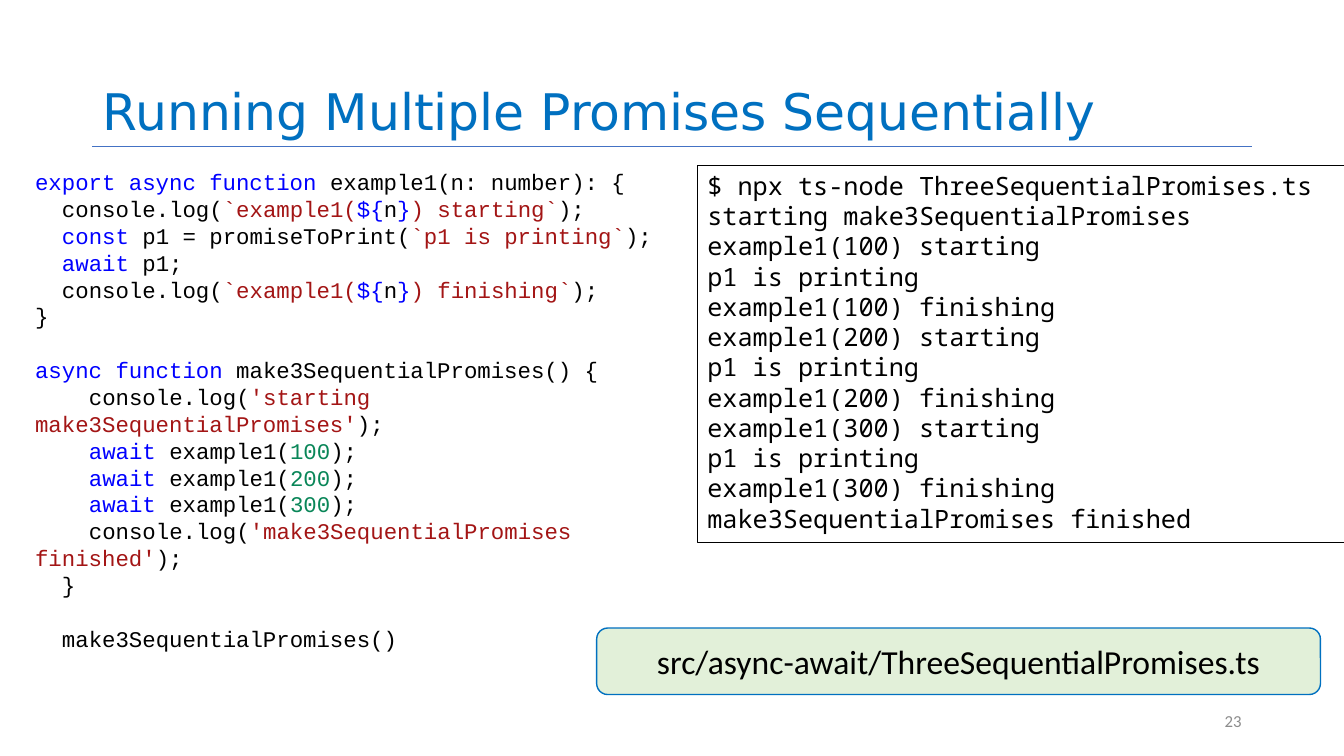
"""Build a slide on running promises one after another."""
import pptx
import pptx.util
import pptx.dml.color
import pptx.enum.shapes
import pptx.enum.text
import pptx.oxml

Pt = pptx.util.Pt
RGB = pptx.dml.color.RGBColor
SHAPE = pptx.enum.shapes.MSO_SHAPE
ALIGN = pptx.enum.text.PP_ALIGN
ANCHOR = pptx.enum.text.MSO_ANCHOR

BLACK = RGB(0x00, 0x00, 0x00)
BLUE = RGB(0x00, 0x70, 0xC0)
RULE = RGB(0x44, 0x72, 0xC4)
GREY = RGB(0x8C, 0x8C, 0x8C)
GREEN = RGB(0xE2, 0xF0, 0xD9)
KEY = RGB(0x00, 0x00, 0xFF)
TEXT = RGB(0xA3, 0x15, 0x15)
NUM = RGB(0x09, 0x86, 0x58)

TITLE = "Running Multiple Promises Sequentially"
LABEL = "src/async-await/ThreeSequentialPromises.ts"
PAGE = "23"
CALLS = (100, 200, 300)


def log(word):
    """Give the code parts of one templated log line."""
    return [("console.log(", BLACK), ("`example1(", TEXT), ("${", KEY),
            ("n", BLACK), ("}", KEY), (f") {word}`", TEXT), (");", BLACK)]


def say(words):
    """Give the code parts of one plain log line."""
    return [("console.log(", BLACK), (f"'{words}'", TEXT), (");", BLACK)]


CODE = [
    (0, 0, [("export async function", KEY), (" example1(n: number): {", BLACK)]),
    (1, 0, log("starting")),
    (1, 0, [("const", KEY), (" p1 = promiseToPrint(", BLACK),
            ("`p1 is printing`", TEXT), (");", BLACK)]),
    (1, 0, [("await", KEY), (" p1;", BLACK)]),
    (1, 0, log("finishing")),
    (0, 0, [("}", BLACK)]),
    (0, 1, [("async function", KEY), (" make3SequentialPromises() {", BLACK)]),
    (2, 0, say("starting make3SequentialPromises")),
    *[(2, 0, [("await", KEY), (" example1(", BLACK), (str(n), NUM), (");", BLACK)])
      for n in CALLS],
    (2, 0, say("make3SequentialPromises finished")),
    (1, 0, [("}", BLACK)]),
    (1, 1, [("make3SequentialPromises()", BLACK)]),
]

OUTPUT = ["$ npx ts-node ThreeSequentialPromises.ts",
          "starting make3SequentialPromises"]
for n in CALLS:
    OUTPUT += [f"example1({n}) starting", "p1 is printing", f"example1({n}) finishing"]
OUTPUT.append("make3SequentialPromises finished")

LEFT, WIDTH, BASE = 66, 828, 104.4
TAB = PITCH = 19.2


def style(frame, face, size, color, align=ALIGN.LEFT, anchor=ANCHOR.TOP, space=None):
    """Format all the text of a frame."""
    frame.word_wrap = True
    frame.auto_size = pptx.enum.text.MSO_AUTO_SIZE.NONE
    frame.vertical_anchor = anchor
    for para in frame.paragraphs:
        para.alignment = align
        para.line_spacing = space
        for run in para.runs:
            run.font.name = face
            run.font.size = Pt(size)
            if color is not None:
                run.font.color.rgb = color


def panel(slide, kind, box, line, fill=None):
    """Add an outlined shape."""
    shape = slide.shapes.add_shape(kind, *map(Pt, box))
    shape.shadow.inherit = False
    shape.line.color.rgb = line
    shape.line.width = Pt(1)
    if fill is None:
        shape.fill.background()
    else:
        shape.fill.solid()
        shape.fill.fore_color.rgb = fill
    return shape


def main():
    """Place all parts and save the deck."""
    deck = pptx.Presentation()
    deck.slide_width, deck.slide_height = Pt(960), Pt(540)
    slide = deck.slides.add_slide(deck.slide_layouts[5])

    rule = slide.shapes.add_connector(
        pptx.enum.shapes.MSO_CONNECTOR.STRAIGHT,
        Pt(LEFT), Pt(BASE), Pt(LEFT + WIDTH), Pt(BASE))
    rule.line.color.rgb = RULE
    rule.line.width = Pt(0.5)
    props = rule.line._get_or_add_ln().getparent()
    props.append(pptx.oxml.parse_xml(
        '<a:effectLst xmlns:a="http://schemas.openxmlformats.org/drawingml/2006/main"/>'))

    title = slide.shapes.title
    title.left, title.top = Pt(LEFT), Pt(0)
    title.width, title.height = Pt(WIDTH), Pt(BASE)
    title.text_frame.text = TITLE
    style(title.text_frame, "DejaVu Sans", 36, BLUE, anchor=ANCHOR.BOTTOM, space=0.9)

    page = slide.shapes.add_textbox(Pt(678), Pt(500.4), Pt(216), Pt(28.8))
    page.text_frame.text = PAGE
    style(page.text_frame, "Calibri", 12, GREY, ALIGN.RIGHT, ANCHOR.MIDDLE)

    code = slide.shapes.add_textbox(Pt(18), Pt(116.6), Pt(480), Pt(317.5)).text_frame
    for i, (level, gap, parts) in enumerate(CODE):
        para = code.add_paragraph() if i else code.paragraphs[0]
        para.space_before = Pt(gap * PITCH)
        para._p.get_or_add_pPr().set("indent", str(Pt(level * TAB)))
        for words, color in parts:
            run = para.add_run()
            run.text = words
            run.font.color.rgb = color
    style(code, "Courier New", 16, None, space=Pt(PITCH))

    term = panel(slide, SHAPE.RECTANGLE, (498.2, 118.1, 462.2, 269.3), BLACK)
    term.text_frame.text = "\n".join(OUTPUT)
    style(term.text_frame, "Noto Sans Mono", 18, BLACK, space=Pt(21.6))

    label = panel(slide, SHAPE.ROUNDED_RECTANGLE, (426.2, 448.6, 517, 47.5), BLUE, GREEN)
    label.text_frame.text = LABEL
    style(label.text_frame, "Calibri", 24, BLACK, ALIGN.CENTER, ANCHOR.MIDDLE)

    deck.save("out.pptx")


if __name__ == "__main__":
    main()
